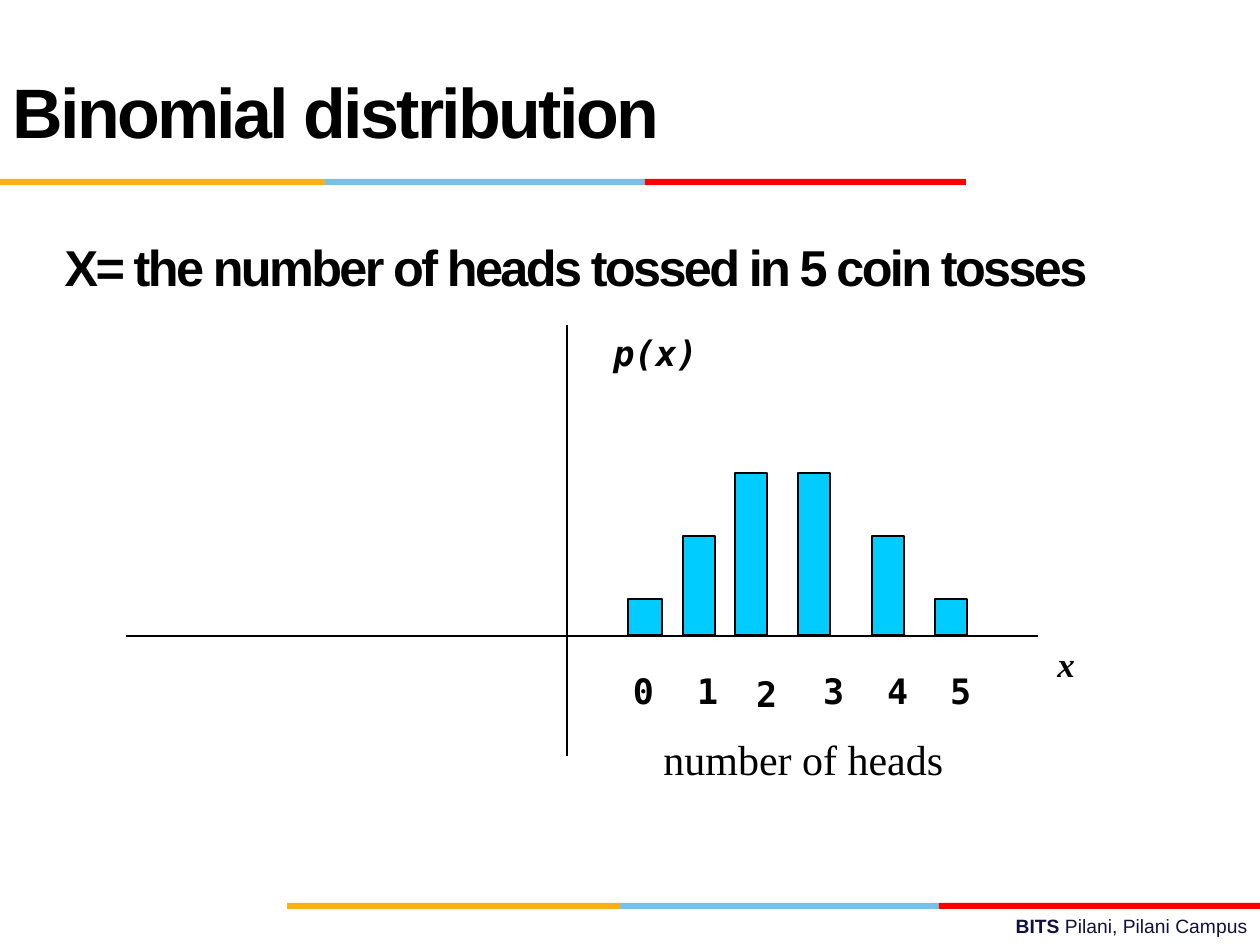
from lxml.etree import SubElement
from pptx import Presentation
from pptx.dml.color import RGBColor
from pptx.enum.shapes import MSO_CONNECTOR, MSO_SHAPE
from pptx.enum.text import MSO_ANCHOR, MSO_AUTO_SIZE, PP_ALIGN
from pptx.oxml.ns import qn
from pptx.util import Pt

EMU_PER_PX = 914400 / 126
BLACK = RGBColor(0x00, 0x00, 0x00)
NAVY = RGBColor(0x10, 0x11, 0x41)
CYAN = RGBColor(0x00, 0xCC, 0xFF)
YELLOW = RGBColor(0xFC, 0xB0, 0x17)
BLUE = RGBColor(0x76, 0xC2, 0xE5)
RED = RGBColor(0xFF, 0x00, 0x00)
SANS = "Arial"
MONO = "DejaVu Sans Mono"
SERIF = "Times New Roman"


def px(*lengths):
    return [round(length * EMU_PER_PX) for length in lengths]


class SlideBuilder:
    def __init__(self, slide):
        self.slide = slide
        self.shapes = slide.shapes

    def style_run(self, run, font, size, color=BLACK, bold=False, italic=False, tight=False):
        run.font.name = font
        run.font.size = Pt(size)
        run.font.color.rgb = color
        run.font.bold = bold
        run.font.italic = italic
        if tight:
            run._r.get_or_add_rPr().set("spc", "-150")

    def title(self, box, text, size):
        shape = self.shapes.title
        shape.left, shape.top, shape.width, shape.height = px(*box)
        self.fill_text(shape, [text], MSO_ANCHOR.MIDDLE, PP_ALIGN.LEFT)
        self.style_run(shape.text_frame.paragraphs[0].runs[0], SANS, size, bold=True, tight=True)

    def fill_text(self, shape, texts, anchor, align):
        frame = shape.text_frame
        frame.word_wrap = True
        frame.auto_size = MSO_AUTO_SIZE.NONE
        frame.vertical_anchor = anchor
        paragraph = frame.paragraphs[0]
        paragraph.alignment = align
        for text in texts:
            paragraph.add_run().text = text

    def text(self, box, texts, font, size, anchor=MSO_ANCHOR.TOP, align=PP_ALIGN.LEFT,
             inset=True, **style):
        shape = self.shapes.add_textbox(*px(*box))
        self.fill_text(shape, texts, anchor, align)
        frame = shape.text_frame
        if not inset:
            frame.margin_left = frame.margin_top = frame.margin_right = frame.margin_bottom = 0
        runs = frame.paragraphs[0].runs
        for run in runs:
            self.style_run(run, font, size, **style)
        return runs

    def rectangle(self, box, color, outline=None):
        shape = self.shapes.add_shape(MSO_SHAPE.RECTANGLE, *px(*box))
        shape.shadow.inherit = False
        shape.fill.solid()
        shape.fill.fore_color.rgb = color
        if outline is None:
            shape.line.fill.background()
        else:
            shape.line.color.rgb = outline
            shape.line.width = Pt(0.75)

    def stripe(self, edges, top):
        for left, right, color in zip(edges, edges[1:], (YELLOW, BLUE, RED)):
            self.rectangle((left, top, right - left, 6), color)

    def line(self, *ends):
        connector = self.shapes.add_connector(MSO_CONNECTOR.STRAIGHT, *px(*ends))
        connector.line.color.rgb = BLACK
        connector.line.width = Pt(0.75)
        SubElement(connector._element.spPr, qn("a:effectLst"))


def main():
    presentation = Presentation()
    presentation.slide_width, presentation.slide_height = px(1260, 945)
    builder = SlideBuilder(presentation.slides.add_slide(presentation.slide_layouts[5]))

    builder.stripe((0, 325, 645, 966), 179)
    builder.stripe((287, 620, 939, 1260), 903)
    campus_runs = builder.text((451, 908, 809, 37), ["BITS ", "Pilani, Pilani Campus"],
                               SANS, 11, align=PP_ALIGN.RIGHT, color=NAVY)
    campus_runs[0].font.bold = True

    builder.text((0, 32, 1071, 158), ["Binomial distribution"], SANS, 40,
                 anchor=MSO_ANCHOR.MIDDLE, bold=True, tight=True)
    builder.title((52, 198, 1135, 136), "X= the number of heads tossed in 5 coin tosses", 28.8)

    axis_y = 636
    builder.line(567, 325, 567, 756)
    builder.line(126, axis_y, 1038, axis_y)
    builder.text((601, 325, 150, 78), ["p(x)"], MONO, 20, bold=True, italic=True)
    builder.text((1045, axis_y, 89, 78), ["x"], SERIF, 20, bold=True, italic=True)

    bars = [
        (628, 34, 0), (683, 32, 1), (735, 32, 2),
        (798, 32, 2), (872, 32, 1), (935, 32, 0),
    ]
    for left, width, level in bars:
        height = 36 + 63 * level
        builder.rectangle((left, axis_y - 1 - height, width, height), CYAN, BLACK)

    labels = [(633, 669), (697, 669), (756, 672), (823, 669), (887, 669), (950, 669)]
    for heads, (left, top) in enumerate(labels):
        builder.text((left, top, 30, 44), [str(heads)], MONO, 20, inset=False, bold=True)
    builder.text((651, 727, 420, 57), ["number of heads"], SERIF, 24)

    presentation.save("out.pptx")


if __name__ == "__main__":
    main()
